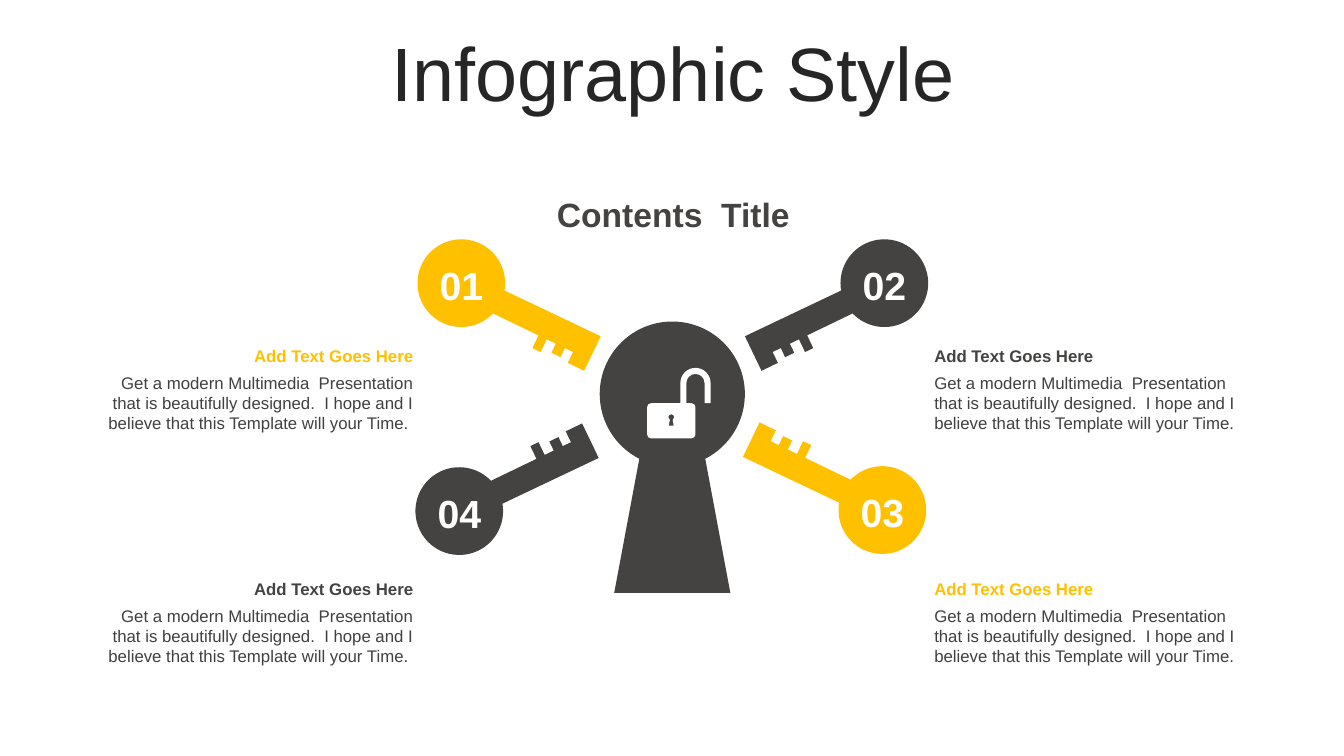
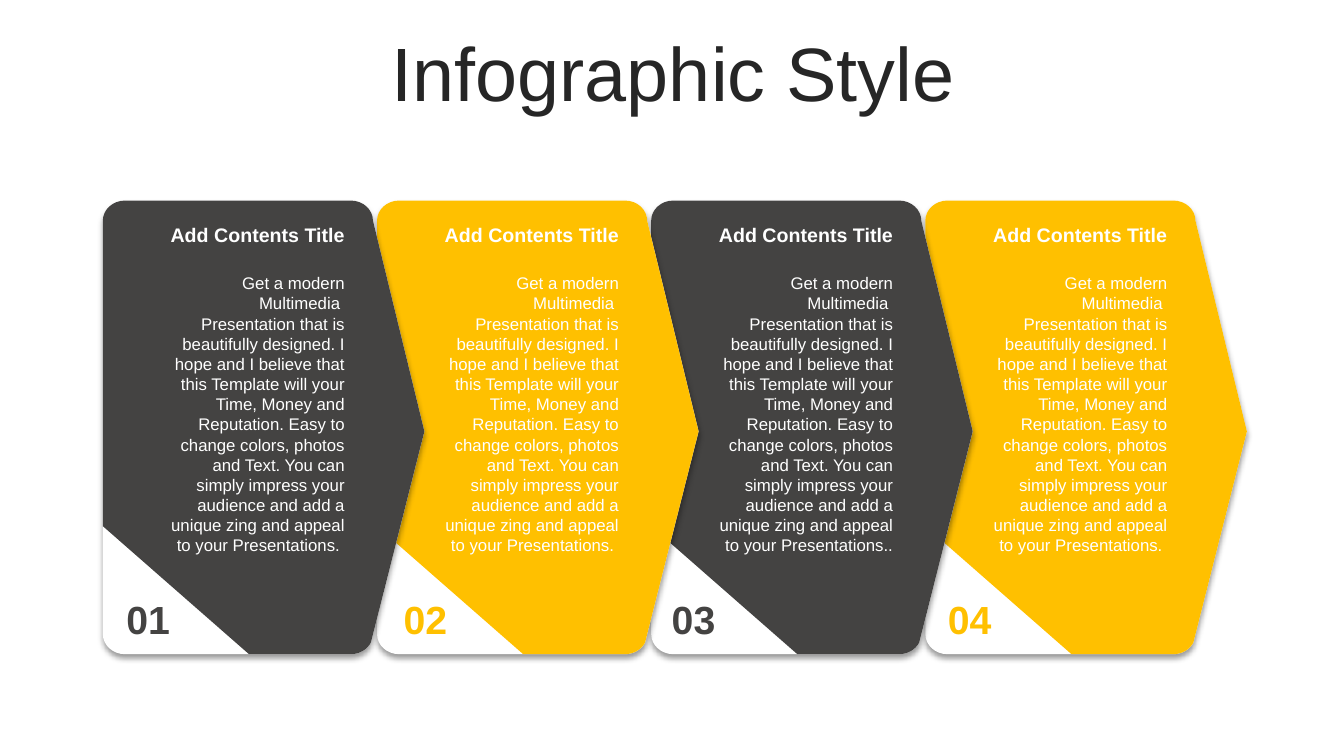
from math import cos, sin, tan, radians

from lxml import etree
from pptx import Presentation
from pptx.dml.color import RGBColor
from pptx.enum.text import MSO_ANCHOR, PP_ALIGN
from pptx.oxml.ns import qn
from pptx.util import Inches, Pt

LEFT, MID, RIGHT = PP_ALIGN.LEFT, PP_ALIGN.CENTER, PP_ALIGN.RIGHT
TOP, CENTER = MSO_ANCHOR.TOP, MSO_ANCHOR.MIDDLE

DARK = RGBColor(0x44, 0x43, 0x42)
GOLD = RGBColor(0xFF, 0xC0, 0x00)
WHITE = RGBColor(0xFF, 0xFF, 0xFF)
BODY = RGBColor(0x40, 0x40, 0x40)
INK = RGBColor(0x26, 0x26, 0x26)

FONT = "Arial"
HEAD = dict(size=Pt(54), color=INK)
SUB = dict(size=Pt(24), bold=True, color=DARK)
BADGE = dict(size=Pt(28), bold=True)
LABEL = dict(size=Pt(12), bold=True)
PLAIN = dict(size=Pt(12))
CAP = dict(size=Pt(14), bold=True, color=WHITE)

NOTE = ("Get a modern Multimedia  Presentation that is beautifully designed.  "
        "I hope and I believe that this Template will your Time.")
STORY = ("Get a modern Multimedia  Presentation that is beautifully designed. "
         "I hope and I believe that this Template will your Time, Money and "
         "Reputation. Easy to change colors, photos and Text. You can simply "
         "impress your audience and add a unique zing and appeal to your "
         "Presentations.")

# Key lying flat, head at left: its box, head radius, shaft and teeth
KEY_W, KEY_H, HEAD_R, TILT = 1.91, 0.87, 0.435, 25.7
TEETH = [(1.91, 0.31), (1.91, 0.69), (1.73, 0.69), (1.73, 0.57),
         (1.64, 0.57), (1.64, 0.67), (1.54, 0.67), (1.54, 0.57),
         (1.44, 0.57), (1.44, 0.71), (1.35, 0.71), (1.35, 0.57)]
# number, left, top, x direction, y direction, colour
KEYS = [("01", 4.09, 2.6, 1, 1, GOLD), ("02", 7.35, 2.6, -1, 1, DARK),
        ("03", 7.33, 4.4, -1, -1, GOLD), ("04", 4.07, 4.41, 1, -1, DARK)]
# left, top, width, alignment, label colour, ending
NOTES = [(9.17, 3.38, 3.25, LEFT, DARK, ""), (9.17, 5.69, 3.25, LEFT, GOLD, ""),
         (0.9, 3.38, 3.3, RIGHT, GOLD, " "), (0.9, 5.69, 3.3, RIGHT, DARK, " ")]

# number, number's shift, colour, ending
PANELS = [("01", 0.01, DARK, " "), ("02", 0.04, GOLD, " "),
          ("03", -0.02, DARK, "."), ("04", 0, GOLD, " ")]
PITCH = 2.72


def lines(*points):
    """Path steps of one point each; a curve step has three points."""
    return [(point,) for point in points]


def arc(cx, cy, rx, ry, start, end):
    """Steps along an ellipse, one curve a quadrant; degrees, clockwise."""
    low, high = sorted((start, end))
    marks = [low, *(a for a in range(0, 720, 90) if low < a < high), high]
    if start > end:
        marks.reverse()

    def spot(turn, pull=0):
        t = radians(turn)
        return (cx + rx * (cos(t) - pull * sin(t)),
                cy + ry * (sin(t) + pull * cos(t)))

    steps = lines(spot(start))
    for a, b in zip(marks, marks[1:]):
        pull = 4 / 3 * tan(radians(b - a) / 4)
        steps.append((spot(a, pull), spot(b, -pull), spot(b)))
    return steps


def bend(shape, steps):
    """Turn the straight segments of the curve steps into Bezier curves."""
    tags = qn("a:moveTo"), qn("a:lnTo")
    nodes = list(shape._element.iter(*tags))
    for node, step in zip(nodes, steps):
        if len(step) == 3:
            node.tag = qn("a:cubicBezTo")
            for i, (x, y) in enumerate(step[:2]):
                point = etree.Element(qn("a:pt"), x=str(Inches(x) - shape.left),
                                      y=str(Inches(y) - shape.top))
                node.insert(i, point)


def outline(slide, paths, color):
    """Draw closed paths, given in inches, as one filled shape."""
    ends = [[tuple(map(Inches, step[-1])) for step in path] for path in paths]
    pen = slide.shapes.build_freeform(*ends[0][0], scale=1.0)
    for i, path in enumerate(ends):
        if i:
            pen.move_to(*path[0])
        pen.add_line_segments(path[1:], close=False)
    shape = pen.convert_to_shape()
    bend(shape, [step for path in paths for step in path])
    shape.shadow.inherit = False
    shape.fill.solid()
    shape.fill.fore_color.rgb = color
    shape.line.fill.background()
    return shape


def shade(shape):
    """Soft black shadow below the shape."""
    effect = shape._element.spPr.find(qn("a:effectLst"))
    outer = etree.SubElement(effect, qn("a:outerShdw"), blurRad=str(Pt(4)),
                             dist=str(Pt(3)), dir="5400000", algn="t",
                             rotWithShape="0")
    black = etree.SubElement(outer, qn("a:srgbClr"), val="000000")
    etree.SubElement(black, qn("a:alpha"), val="40000")


def write(shape, text, style, align, anchor):
    frame = shape.text_frame
    frame.word_wrap = True
    frame.vertical_anchor = anchor
    para = frame.paragraphs[0]
    para.alignment = align
    run = para.add_run()
    run.text = text
    run.font.name = FONT
    for name, value in style.items():
        if name == "color":
            run.font.color.rgb = value
        else:
            setattr(run.font, name, value)
    return para


def label(slide, box, text, style, align=MID, anchor=CENTER):
    shape = slide.shapes.add_textbox(*map(Inches, box))
    write(shape, text, style, align, anchor)


def start(deck):
    """New slide with the shared title."""
    slide = deck.slides.add_slide(deck.slide_layouts[5])
    title = slide.shapes.title
    place = dict(left=0.35, top=0.37, width=12.66, height=0.79)
    for name, value in place.items():
        setattr(title, name, Inches(value))
    write(title, "Infographic Style", HEAD, MID, CENTER).line_spacing = 0.9
    return slide


def hole(cx, cy, r):
    """Keyhole path around the centre of its round part."""
    foot = cy + 2.74 * r
    return (arc(cx, cy, r, r, 117, 423)
            + lines((cx + 0.8 * r, foot), (cx - 0.8 * r, foot)))


def lock(slide, x, y):
    w, top, foot, r = 0.48, y + 0.35, y + 0.7, 0.04
    body = []
    for cx, cy, turn in [(x + r, top + r, 180), (x + w - r, top + r, 270),
                         (x + w - r, foot - r, 0), (x + r, foot - r, 90)]:
        body += arc(cx, cy, r, r, turn, turn + 90)
    cx, cy = x + w, y + 0.15
    bow = (arc(cx, cy, 0.15, 0.15, 180, 360)
           + lines((cx + 0.15, top), (cx + 0.09, top))
           + arc(cx, cy, 0.09, 0.09, 360, 180)
           + lines((cx - 0.09, top), (cx - 0.15, top)))
    outline(slide, [body, bow, hole(x + 0.24, y + 0.49, 0.03)], WHITE)


def key(slide, num, x, y, fx, fy, color):
    cx, cy = x + KEY_W / 2, y + KEY_H / 2
    flat = arc(HEAD_R, HEAD_R, HEAD_R, HEAD_R, 18, 344) + lines(*TEETH)
    path = [tuple((cx + fx * (px - KEY_W / 2), cy + fy * (py - KEY_H / 2))
                  for px, py in step) for step in flat]
    outline(slide, [path], color).rotation = fx * fy * TILT
    reach, turn = KEY_W / 2 - HEAD_R, radians(TILT)
    hx, hy = cx - fx * reach * cos(turn), cy - fy * reach * sin(turn)
    label(slide, (hx - 0.37, hy - 0.27, 0.74, 0.57), num, BADGE | dict(color=WHITE))


def note(slide, x, y, w, align, color, end):
    label(slide, (x, y + 0.27, w, 0.71), NOTE + end, PLAIN | dict(color=BODY),
          align, TOP)
    label(slide, (x, y, w, 0.3), "Add Text Goes Here", LABEL | dict(color=color),
          align)


def panel(slide, x, y, num, shift, color, end):
    rx, ry, h = 0.22, 0.2, 4.5
    edge = (arc(x + rx, y + ry, rx, ry, 180, 270)
            + arc(x + 2.46, y + ry, rx, ry, 270, 360)
            + lines((x + 3.19, y + 2.29))
            + arc(x + 2.46, y + h - ry, rx, ry, 25, 90))
    shade(outline(slide, [edge + arc(x + rx, y + h - ry, rx, ry, 90, 180)], WHITE))
    outline(slide, [edge + lines((x + 1.45, y + h), (x, y + 3.23))], color)
    label(slide, (x + 0.49, y + 0.67, 2.01, 2.93), STORY + end,
          PLAIN | dict(color=WHITE), RIGHT, TOP)
    label(slide, (x + 0.49, y + 0.17, 2.01, 0.34), "Add Contents Title", CAP,
          RIGHT, TOP)
    label(slide, (x + shift, y + 3.86, 0.88, 0.57), num, BADGE | dict(color=color))


def keys(deck):
    slide = start(deck)
    outline(slide, [hole(6.67, 3.91, 0.72)], DARK)
    for item in KEYS:
        key(slide, *item)
    label(slide, (5.2, 1.87, 2.96, 0.5), "Contents  Title", SUB)
    for item in NOTES:
        note(slide, *item)
    lock(slide, 6.42, 3.65)


def panels(deck):
    slide = start(deck)
    for i, item in reversed(list(enumerate(PANELS))):
        panel(slide, 1.02 + i * PITCH, 1.99, *item)


def main():
    deck = Presentation()
    deck.slide_width, deck.slide_height = Inches(40 / 3), Inches(7.5)
    keys(deck)
    panels(deck)
    deck.save("out.pptx")


if __name__ == "__main__":
    main()
